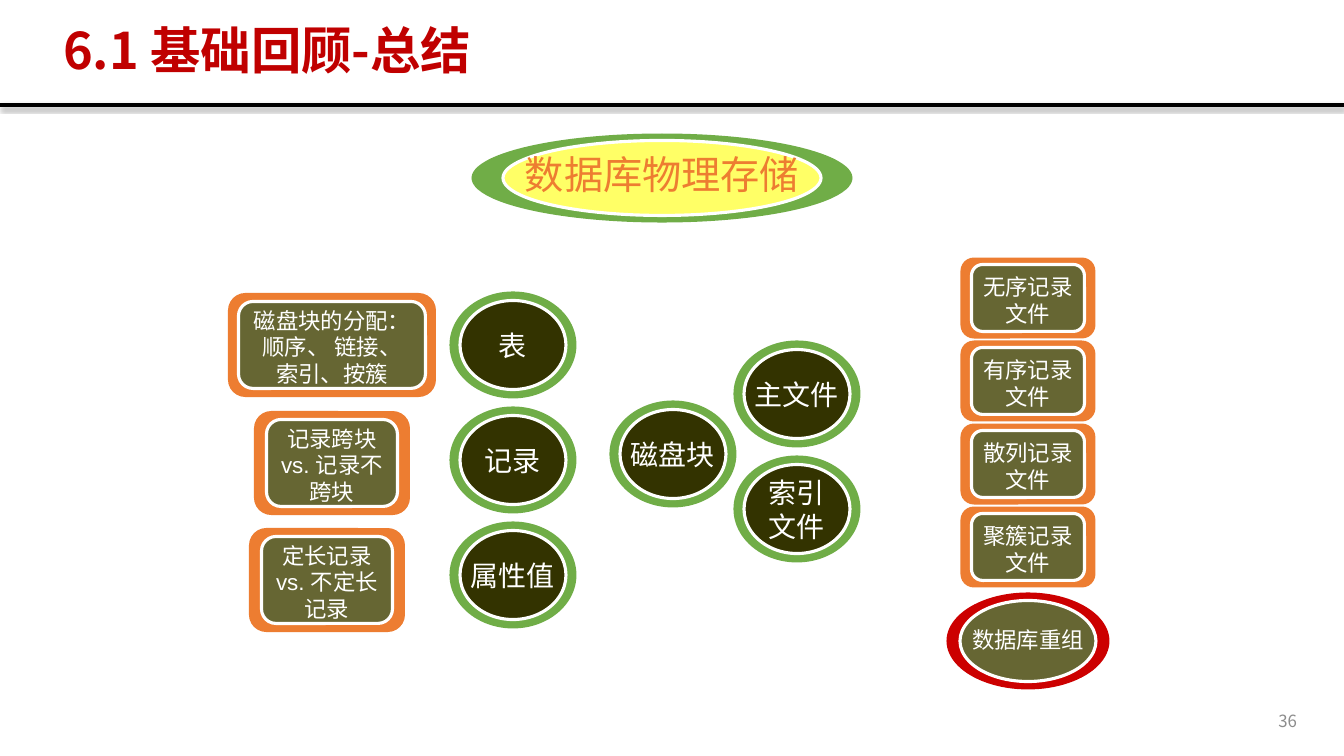
from dataclasses import dataclass

from lxml.etree import SubElement
from pptx import Presentation
from pptx.dml.color import RGBColor
from pptx.enum.shapes import MSO_CONNECTOR, MSO_SHAPE
from pptx.enum.text import MSO_ANCHOR, PP_ALIGN
from pptx.oxml import parse_xml
from pptx.oxml.ns import nsdecls, qn
from pptx.shapes.autoshape import Shape
from pptx.slide import Slide
from pptx.util import Pt

SLIDE_WIDTH, SLIDE_HEIGHT = 1344, 756
EMU_PER_PX = 12192000 / SLIDE_WIDTH

SANS = "Noto Sans CJK SC"
ARIAL = "Arial"
BLACK = RGBColor(0x00, 0x00, 0x00)
WHITE = RGBColor(0xFF, 0xFF, 0xFF)
GREY = RGBColor(0x8C, 0x8C, 0x8C)
DARK_RED = RGBColor(0xC0, 0x00, 0x00)
RED = RGBColor(0xCC, 0x00, 0x00)
GREEN = RGBColor(0x70, 0xAD, 0x47)
ORANGE = RGBColor(0xED, 0x7D, 0x31)
YELLOW = RGBColor(0xFF, 0xFF, 0x66)
OLIVE = RGBColor(0x66, 0x66, 0x33)
DARK_OLIVE = RGBColor(0x33, 0x33, 0x00)

RULE_SHADOW = (
    f'<a:effectLst {nsdecls("a")}>'
    '<a:outerShdw blurRad="40000" dist="23000" dir="5400000" rotWithShape="0">'
    '<a:srgbClr val="000000"><a:alpha val="35000"/></a:srgbClr>'
    "</a:outerShdw></a:effectLst>"
)


@dataclass(frozen=True)
class TextFormat:
    size: int
    color: RGBColor
    name: str = SANS
    bold: bool = False
    align: PP_ALIGN = PP_ALIGN.CENTER
    line_spacing: float = 1.0


@dataclass(frozen=True)
class NodeStyle:
    """A framed shape: sizes and fills of frame and core, and its label."""

    preset: MSO_SHAPE
    frame: tuple[int, int]
    core: tuple[int, int]
    frame_fill: RGBColor
    core_fill: RGBColor
    label_width: int
    text: TextFormat
    label_shift: int = 0


@dataclass(frozen=True)
class Node:
    text: str
    center_x: int
    center_y: int
    style: NodeStyle


TITLE_TEXT = TextFormat(36, DARK_RED, bold=True, align=PP_ALIGN.LEFT, line_spacing=0.9)
NUMBER_TEXT = TextFormat(12, GREY, align=PP_ALIGN.RIGHT)
RING_TEXT = TextFormat(20, WHITE)
CARD_TEXT = TextFormat(16, WHITE, ARIAL)

OVAL, CARD = MSO_SHAPE.OVAL, MSO_SHAPE.ROUNDED_RECTANGLE
TOPIC = NodeStyle(OVAL, (381, 89), (318, 75), GREEN, YELLOW, 294,
                  TextFormat(28, ORANGE, ARIAL), -4)
RING = NodeStyle(OVAL, (127, 107), (106, 89), GREEN, DARK_OLIVE, 86, RING_TEXT)
REORGANIZE = NodeStyle(OVAL, (163, 97), (136, 81), RED, OLIVE, 118,
                       TextFormat(16, WHITE), -1)
FILE_CARD = NodeStyle(CARD, (135, 81), (113, 67), ORANGE, OLIVE, 93, CARD_TEXT, 2)
RECORD_CARD = NodeStyle(CARD, (156, 104), (131, 87), ORANGE, OLIVE, 110, CARD_TEXT, 2)
BLOCK_CARD = NodeStyle(CARD, (208, 104), (187, 87), ORANGE, OLIVE, 164, CARD_TEXT, 2)

FILE_KINDS = ("无序记录文件", "有序记录文件", "散列记录文件", "聚簇记录文件")
NODES = [
    Node("数据库物理存储", 662, 178, TOPIC),
    *(Node(text, 513, 345 + 115 * row, RING)
      for row, text in enumerate(("表", "记录", "属性值"))),
    Node("磁盘块", 673, 454, RING),
    Node("主文件", 797, 394, RING),
    Node("索引 文件", 797, 509, RING),
    Node("磁盘块的分配： 顺序、 链接、 索引、按簇", 332, 345, BLOCK_CARD),
    Node("记录跨块 vs. 记录不跨块", 332, 463, RECORD_CARD),
    Node("定长记录 vs. 不定长记录", 327, 580, RECORD_CARD),
    *(Node(text, 1028, 298 + 83 * row, FILE_CARD)
      for row, text in enumerate(FILE_KINDS)),
    Node("数据库重组", 1028, 641, REORGANIZE),
]


def px(length: float) -> int:
    return round(length * EMU_PER_PX)


def centered_box(x: int, y: int, width: int, height: int) -> tuple[int, ...]:
    return px(x - width / 2), px(y - height / 2), px(width), px(height)


def write_text(shape: Shape, text: str, text_format: TextFormat, inset: int = 0) -> None:
    frame = shape.text_frame
    frame_values = {
        "word_wrap": True,
        "vertical_anchor": MSO_ANCHOR.MIDDLE,
        "margin_left": px(inset),
        "margin_right": px(inset),
        "margin_top": 0,
        "margin_bottom": 0,
    }
    for attribute, value in frame_values.items():
        setattr(frame, attribute, value)
    paragraph = frame.paragraphs[0]
    paragraph.alignment = text_format.align
    paragraph.line_spacing = text_format.line_spacing
    run = paragraph.add_run()
    run.text = text
    font_values = {
        "size": Pt(text_format.size),
        "bold": text_format.bold,
        "name": text_format.name,
    }
    for attribute, value in font_values.items():
        setattr(run.font, attribute, value)
    run.font.color.rgb = text_format.color
    SubElement(run.font._element, qn("a:ea"), typeface=SANS)


def draw_node(slide: Slide, node: Node) -> None:
    style = node.style
    group = slide.shapes.add_group_shape()
    layers = ((style.frame, style.frame_fill), (style.core, style.core_fill))
    for size, fill in layers:
        shape = group.shapes.add_shape(
            style.preset, *centered_box(node.center_x, node.center_y, *size))
        shape.shadow.inherit = False
        shape.fill.solid()
        shape.fill.fore_color.rgb = fill
        if size == style.core:
            shape.line.color.rgb = WHITE
            shape.line.width = Pt(2.25)
        else:
            shape.line.fill.background()
    label = group.shapes.add_textbox(*centered_box(
        node.center_x, node.center_y + style.label_shift,
        style.label_width, style.core[1]))
    write_text(label, node.text, style.text)


def draw_header_rule(slide: Slide) -> None:
    rule = slide.shapes.add_connector(
        MSO_CONNECTOR.STRAIGHT, 0, px(105), px(SLIDE_WIDTH), px(105))
    rule.line.color.rgb = BLACK
    rule.line.width = Pt(3)
    rule._element.spPr.append(parse_xml(RULE_SHADOW))


def main() -> None:
    presentation = Presentation()
    presentation.slide_width = px(SLIDE_WIDTH)
    presentation.slide_height = px(SLIDE_HEIGHT)
    slide = presentation.slides.add_slide(presentation.slide_layouts[6])
    draw_header_rule(slide)
    number = slide.shapes.add_textbox(px(1005), px(701), px(302), px(40))
    write_text(number, "36", NUMBER_TEXT, inset=10)
    title = slide.shapes.add_textbox(px(53), px(20), px(1179), px(66))
    write_text(title, "6.1 基础回顾-总结", TITLE_TEXT, inset=10)
    for node in NODES:
        draw_node(slide, node)
    presentation.save("out.pptx")


if __name__ == "__main__":
    main()
